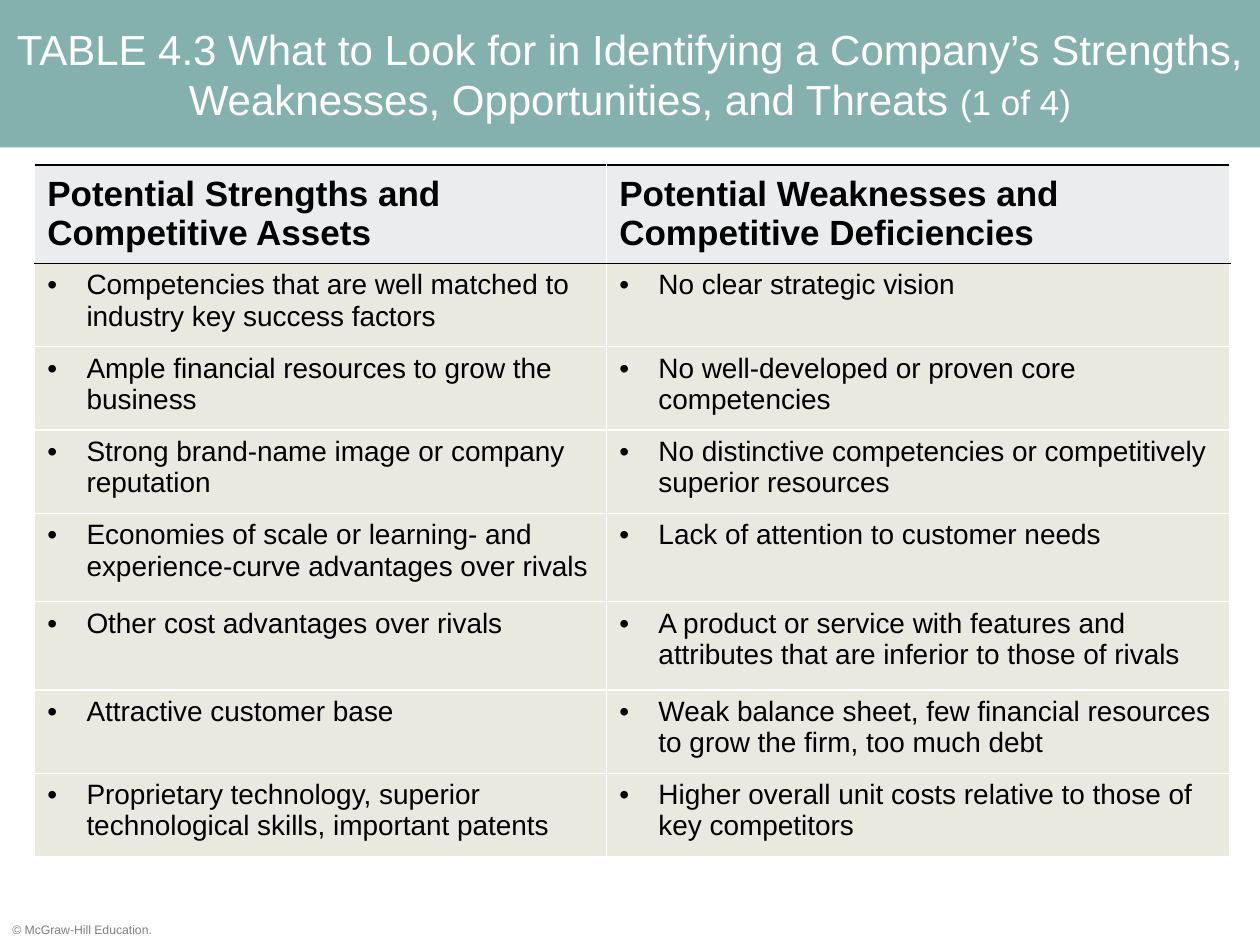
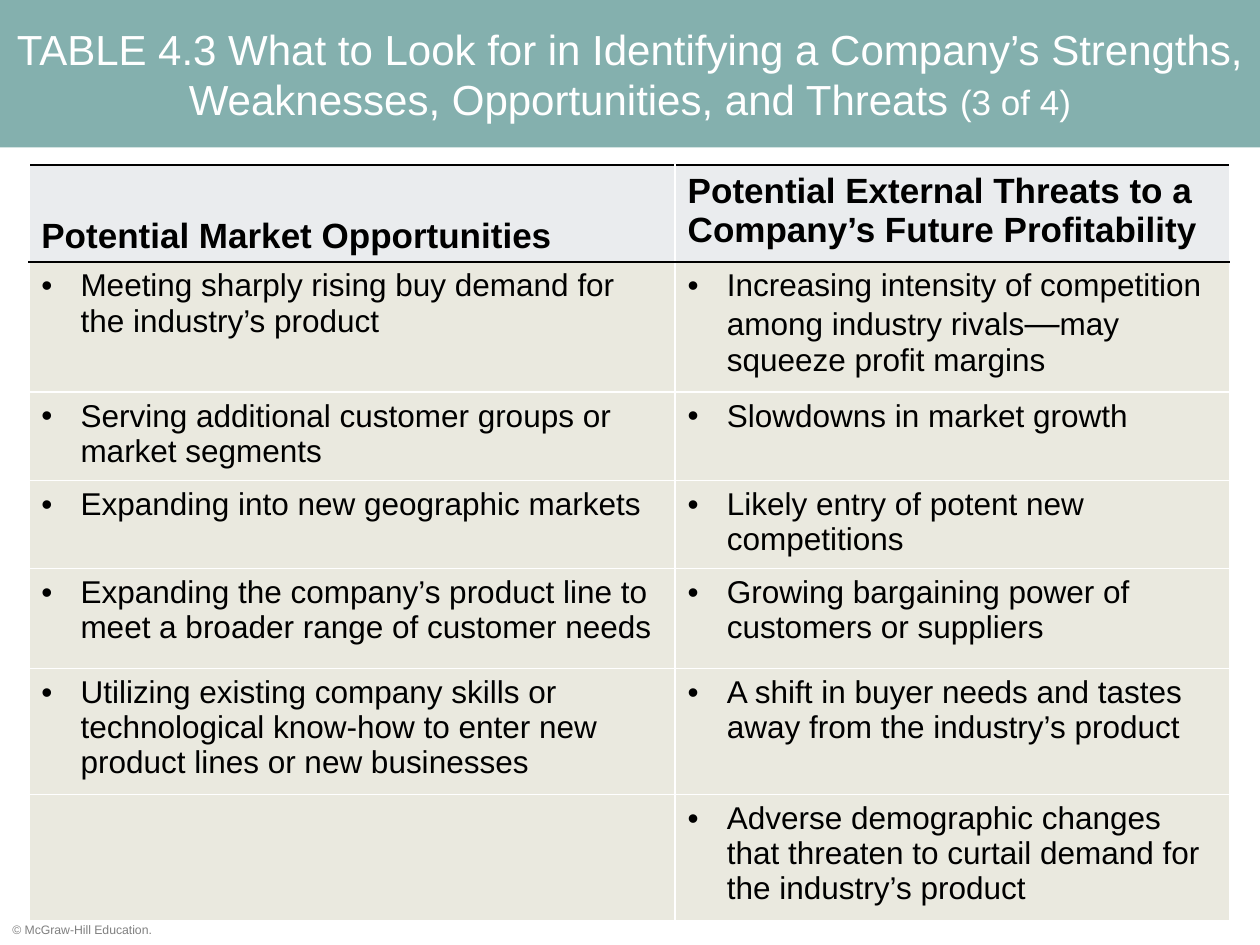
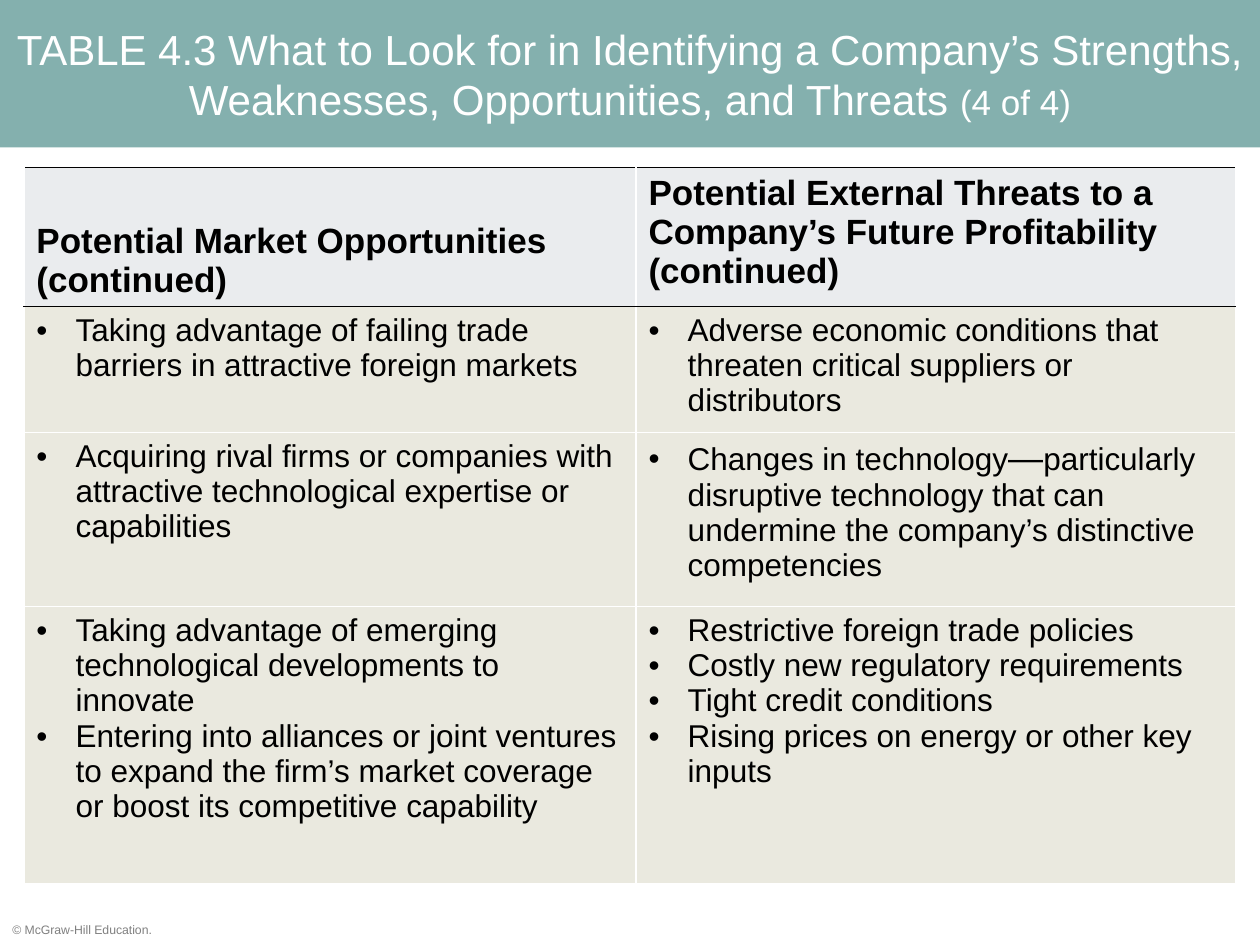
from dataclasses import dataclass
from itertools import product
from typing import Any

from lxml.etree import SubElement
from pptx import Presentation
from pptx.dml.color import RGBColor
from pptx.enum.text import MSO_ANCHOR, MSO_AUTO_SIZE, PP_ALIGN
from pptx.oxml.ns import qn
from pptx.util import Cm, Pt


@dataclass(frozen=True)
class Theme:
    face: str = "Arial"
    band: str = "84B0AE"
    head: str = "EAECEE"
    body: str = "EAE9DF"
    white: str = "FFFFFF"
    black: str = "000000"
    grey: str = "808080"
    title: int = 24
    large: int = 20
    small: int = 7
    rule: int = 1


@dataclass(frozen=True)
class Page:
    count: str
    left: float
    top: float
    cols: tuple[float, ...]
    rows: tuple[float, ...]
    size: int
    heads: tuple[MSO_ANCHOR, ...]
    cells: tuple[tuple[str, str], ...]


THEME = Theme()
WIDTH, HEIGHT = 25.4, 19.05
INDENT = Cm(0.79)
TITLE = ("TABLE 4.3 What to Look for in Identifying a Company’s Strengths, "
         "Weaknesses, Opportunities, and Threats ")
FOOTER = "© McGraw-Hill Education."
LOW_TOP = (MSO_ANCHOR.BOTTOM, MSO_ANCHOR.TOP)

# Within a cell, each line is a paragraph of its own.
PAGES = (
    Page("(1 of 4)", 0.7, 3.33, (11.53, 12.57),
         (1.98, 1.68, 1.68, 1.68, 1.78, 1.78, 1.68, 1.68), 16,
         (MSO_ANCHOR.MIDDLE, MSO_ANCHOR.MIDDLE), (
             ("Potential Strengths and Competitive Assets",
              "Potential Weaknesses and Competitive Deficiencies"),
             ("Competencies that are well matched to industry key success factors",
              "No clear strategic vision"),
             ("Ample financial resources to grow the business",
              "No well-developed or proven core competencies"),
             ("Strong brand-name image or company reputation",
              "No distinctive competencies or competitively superior resources"),
             ("Economies of scale or learning- and experience-curve advantages over rivals",
              "Lack of attention to customer needs"),
             ("Other cost advantages over rivals",
              "A product or service with features and attributes that are "
              "inferior to those of rivals"),
             ("Attractive customer base",
              "Weak balance sheet, few financial resources to grow the firm, too much debt"),
             ("Proprietary technology, superior technological skills, important patents",
              "Higher overall unit costs relative to those of key competitors"),
         )),
    Page("(3 of 4)", 0.58, 3.33, (13.03, 11.18),
         (1.78, 2.54, 1.78, 1.78, 2.01, 2.54, 2.54), 18, LOW_TOP, (
             ("Potential Market Opportunities",
              "Potential External Threats to a Company’s Future Profitability"),
             ("Meeting sharply rising buy demand for the industry’s product",
              "Increasing intensity of competition among industry rivals—may "
              "squeeze profit margins"),
             ("Serving additional customer groups or market segments",
              "Slowdowns in market growth"),
             ("Expanding into new geographic markets",
              "Likely entry of potent new competitions"),
             ("Expanding the company’s product line to meet a broader range of customer needs",
              "Growing bargaining power of customers or suppliers"),
             ("Utilizing existing company skills or technological know-how to "
              "enter new product lines or new businesses",
              "A shift in buyer needs and tastes away from the industry’s product"),
             ("",
              "Adverse demographic changes that threaten to curtail demand for "
              "the industry’s product"),
         )),
    Page("(4 of 4)", 0.48, 3.38, (12.34, 12.09), (2.54, 2.54, 3.51, 5.59), 18, LOW_TOP, (
        ("Potential Market Opportunities (continued)",
         "Potential External Threats to a Company’s Future Profitability (continued)"),
        ("Taking advantage of failing trade barriers in attractive foreign markets",
         "Adverse economic conditions that threaten critical suppliers or distributors"),
        ("Acquiring rival firms or companies with attractive technological "
         "expertise or capabilities",
         "Changes in technology—particularly disruptive technology that can "
         "undermine the company’s distinctive competencies"),
        ("Taking advantage of emerging technological developments to innovate\n"
         "Entering into alliances or joint ventures to expand the firm’s "
         "market coverage or boost its competitive capability",
         "Restrictive foreign trade policies\n"
         "Costly new regulatory requirements\n"
         "Tight credit conditions\n"
         "Rising prices on energy or other key inputs"),
    )),
)


def apply(item: Any, form: dict[str, Any]) -> None:
    for name, value in form.items():
        setattr(item, name, value)


def add_run(para: Any, text: str, size: int, color: str, bold: bool = False) -> None:
    run = para.add_run()
    run.text = text
    apply(run.font, {"name": THEME.face, "size": Pt(size), "bold": bold})
    run.font.color.rgb = RGBColor.from_string(color)


def fill(item: Any, color: str) -> None:
    item.fill.solid()
    item.fill.fore_color.rgb = RGBColor.from_string(color)


def add_title(slide: Any, count: str) -> None:
    title = slide.shapes.title
    apply(title, {"left": 0, "top": 0, "width": Cm(WIDTH), "height": Cm(2.97)})
    fill(title, THEME.band)
    frame = title.text_frame
    apply(frame, {"word_wrap": True, "auto_size": MSO_AUTO_SIZE.NONE,
                  "vertical_anchor": MSO_ANCHOR.MIDDLE})
    para = frame.paragraphs[0]
    para.alignment = PP_ALIGN.CENTER
    add_run(para, TITLE, THEME.title, THEME.white)
    add_run(para, count, THEME.large, THEME.white)


def add_footer(slide: Any) -> None:
    box = slide.shapes.add_textbox(0, Cm(18.47), Cm(3.43), Cm(0.56))
    box.text_frame.word_wrap = False
    add_run(box.text_frame.paragraphs[0], FOOTER, THEME.small, THEME.grey)


def add_edges(cell: Any, top: str, base: str) -> None:
    edges = {"lnL": THEME.white, "lnR": THEME.white, "lnT": top, "lnB": base}
    props = cell._tc.get_or_add_tcPr()
    for tag, color in edges.items():
        line = SubElement(props, qn(f"a:{tag}"), w=str(Pt(THEME.rule)))
        paint = SubElement(line, qn("a:solidFill"))
        SubElement(paint, qn("a:srgbClr"), val=color)


def add_bullet(para: Any) -> None:
    props = para._p.get_or_add_pPr()
    props.set("marL", str(INDENT))
    props.set("indent", str(-INDENT))
    SubElement(props, qn("a:buFont"), typeface=THEME.face)
    SubElement(props, qn("a:buChar"), char="•")


def fill_head(cell: Any, text: str, anchor: MSO_ANCHOR) -> None:
    add_edges(cell, THEME.black, THEME.black)
    fill(cell, THEME.head)
    cell.vertical_anchor = anchor
    add_run(cell.text_frame.paragraphs[0], text, THEME.large, THEME.black, True)


def fill_body(cell: Any, text: str, size: int, first: bool) -> None:
    """Bullet each line of the text, with any dash set in the large size."""
    add_edges(cell, THEME.black if first else THEME.white, THEME.white)
    fill(cell, THEME.body)
    frame = cell.text_frame
    for i, line in enumerate(text.splitlines()):
        para = frame.add_paragraph() if i else frame.paragraphs[0]
        add_bullet(para)
        for piece in filter(None, line.partition("—")):
            add_run(para, piece, THEME.large if piece == "—" else size, THEME.black)


def add_grid(slide: Any, page: Page) -> None:
    shape = slide.shapes.add_table(
        len(page.rows), len(page.cols), Cm(page.left), Cm(page.top),
        Cm(sum(page.cols)), Cm(sum(page.rows)))
    table = shape.table
    table.horz_banding = False
    for col, width in zip(table.columns, page.cols):
        col.width = Cm(width)
    for row, height in zip(table.rows, page.rows):
        row.height = Cm(height)
    for r, c in product(range(len(page.rows)), range(len(page.cols))):
        cell, text = table.cell(r, c), page.cells[r][c]
        if r == 0:
            fill_head(cell, text, page.heads[c])
        else:
            fill_body(cell, text, page.size, r == 1)


def main() -> None:
    deck = Presentation()
    apply(deck, {"slide_width": Cm(WIDTH), "slide_height": Cm(HEIGHT)})
    for page in PAGES:
        slide = deck.slides.add_slide(deck.slide_layouts.get_by_name("Title Only"))
        add_title(slide, page.count)
        add_footer(slide)
        add_grid(slide, page)
    deck.save("out.pptx")


if __name__ == "__main__":
    main()
